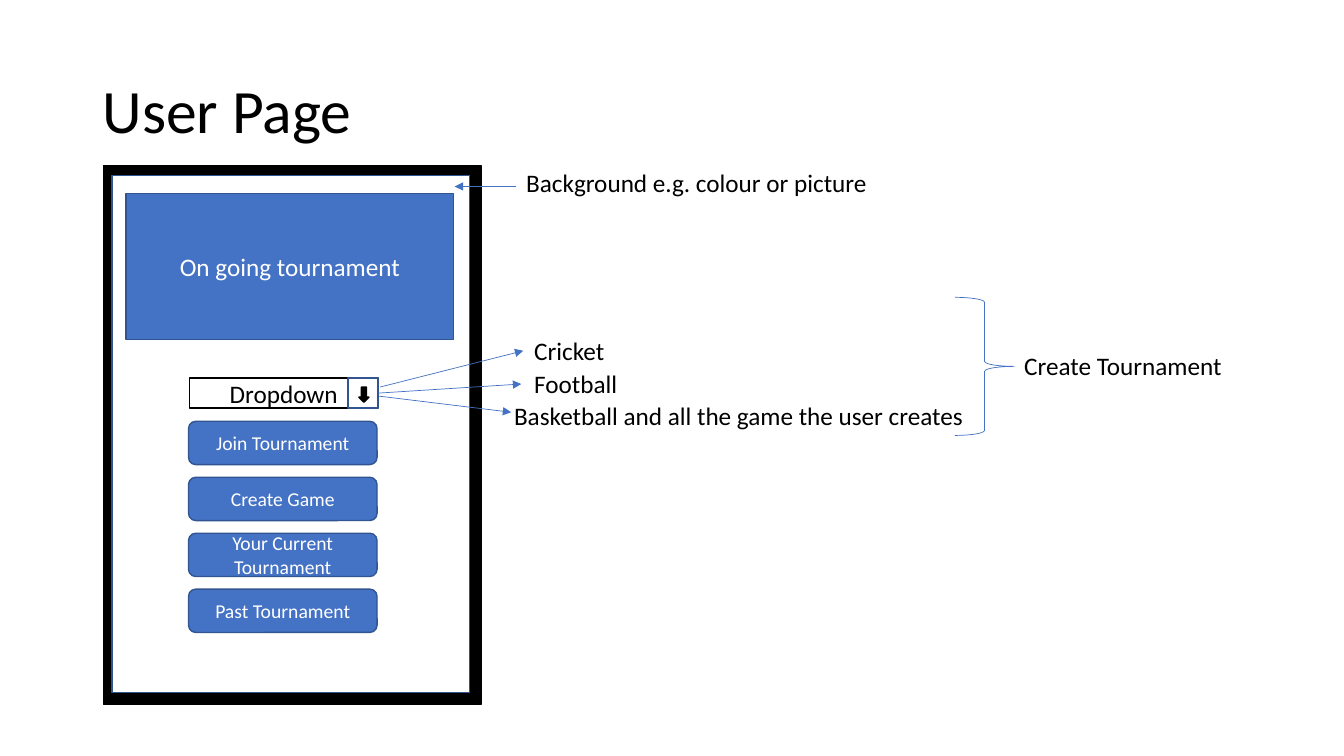
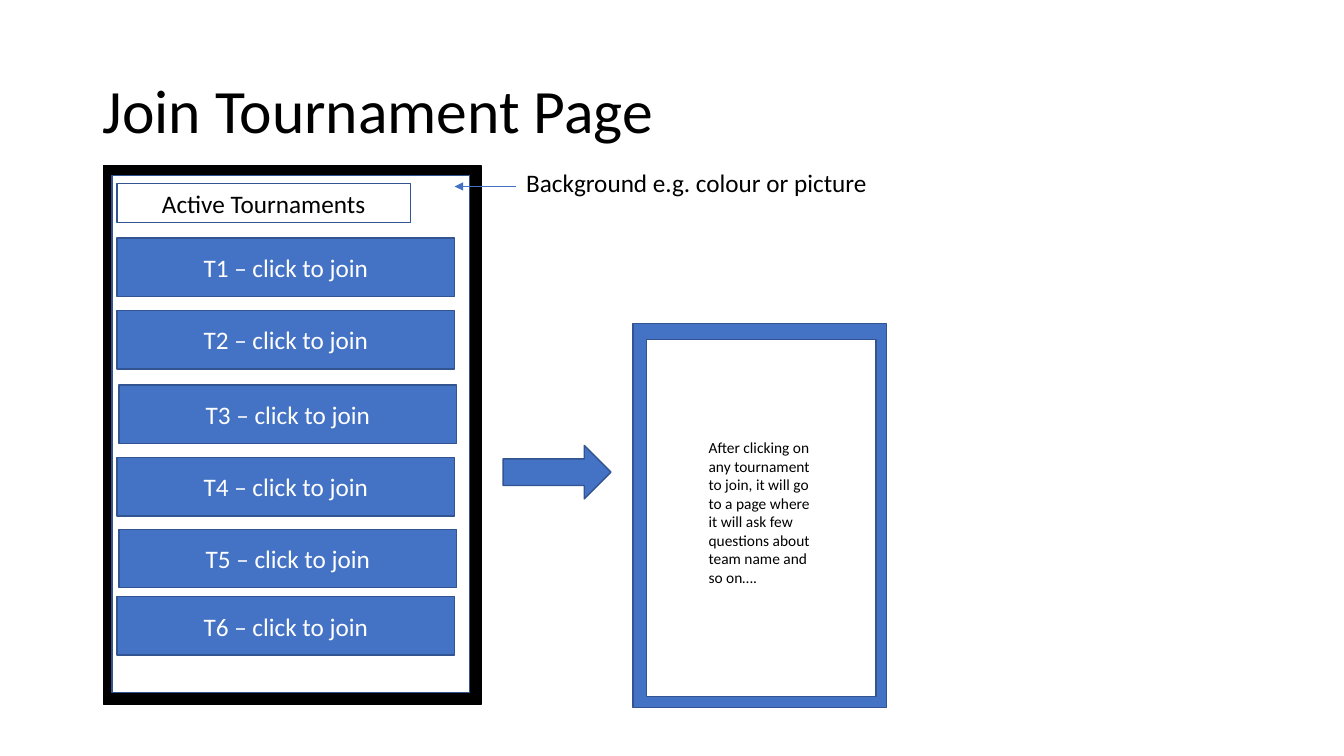
from lxml import etree
from pptx import Presentation
from pptx.dml.color import RGBColor
from pptx.enum.shapes import MSO_CONNECTOR, MSO_SHAPE as SHAPE
from pptx.enum.text import MSO_ANCHOR as ANCHOR, MSO_AUTO_SIZE as AUTO, PP_ALIGN as ALIGN
from pptx.oxml.ns import qn
from pptx.util import Inches, Pt

BLUE = RGBColor(0x44, 0x72, 0xC4)
EDGE = RGBColor(0x32, 0x54, 0x91)
BLACK = RGBColor(0, 0, 0)
WHITE = RGBColor(255, 255, 255)
FONT = "Calibri"

# Boxes are (left, top, width, height) in inches
TITLE_BOX = (0.92, 0.4, 11.5, 1.45)
PHONE_FRAME = (1.03, 1.64, 3.74, 5.35)
PHONE_SCREEN = (1.11, 1.74, 3.55, 5.13)
BACKGROUND_NOTE = ("Background e.g. colour or picture", (5.12, 1.61, 3.68, 0.4))
BACKGROUND_ARROW = ((5.12, 1.85), (4.51, 1.85))

BUTTONS = ["Join Tournament", "Create Game", "Your Current Tournament", "Past Tournament"]
BUTTON_BOX, BUTTON_STEP = (1.87, 4.18, 1.87, 0.43), 0.555

# Label, its box, arrow start, arrow end
GAMES = [
    ("Cricket", (5.2, 3.28, 0.9, 0.4), (3.77, 3.84), (5.19, 3.48)),
    ("Football", (5.2, 3.6, 1.03, 0.4), None, (5.17, 3.81)),
    ("Basketball and all the game the user creates", (5, 3.92, 4.77, 0.4),
     (3.76, 3.93), (5.07, 4.09)),
]

# Left and top of each tournament row
ROWS = [(1.16, 2.36), (1.16, 3.08), (1.18, 3.82), (1.16, 4.54), (1.18, 5.25), (1.16, 5.92)]
ROW_SIZE = (3.35, 0.58)
JOIN_NOTE = ("After clicking on any tournament to join, it will go to a page where "
             "it will ask few questions about team name and so on….")


def write(sp, text, size=18, color=BLACK, align=ALIGN.LEFT, anchor=ANCHOR.TOP,
          wrap=True, spacing=None):
    tf = sp.text_frame
    tf.word_wrap, tf.vertical_anchor = wrap, anchor
    p = tf.paragraphs[0]
    p.alignment, p.line_spacing = align, spacing
    r = p.add_run()
    r.text = text
    r.font.name, r.font.size, r.font.color.rgb = FONT, Pt(size), color


def add_label(s, text, box, grow=True, **fmt):
    sp = s.shapes.add_textbox(*map(Inches, box))
    write(sp, text, **fmt)
    if grow:
        sp.text_frame.auto_size = AUTO.SHAPE_TO_FIT_TEXT


def add_box(s, box, text=None, kind=SHAPE.RECTANGLE, fill=BLUE, line=EDGE, width=1, **fmt):
    sp = s.shapes.add_shape(kind, *map(Inches, box))
    sp.shadow.inherit = False
    if fill is None:
        sp.fill.background()
    else:
        sp.fill.solid()
        sp.fill.fore_color.rgb = fill
    sp.line.color.rgb, sp.line.width = line, Pt(width)
    if text:
        write(sp, text, align=ALIGN.CENTER, anchor=ANCHOR.MIDDLE,
              **{"color": WHITE, **fmt})
    return sp


def add_arrow(s, start, end, source=None):
    """Draw an arrow from start, or from the right side of source."""
    c = s.shapes.add_connector(MSO_CONNECTOR.STRAIGHT, *map(Inches, (start or end) + end))
    if source is not None:
        c.begin_connect(source, 3)
    c.line.color.rgb, c.line.width = BLUE, Pt(0.5)
    etree.SubElement(c.line._get_or_add_ln(), qn("a:tailEnd"), type="triangle")
    etree.SubElement(c._element.spPr, qn("a:effectLst"))


def add_phone_slide(prs, title):
    """Add a slide with the title, the phone and the background note."""
    s = prs.slides.add_slide(prs.slide_layouts[6])
    add_label(s, title, TITLE_BOX, grow=False, size=44, anchor=ANCHOR.MIDDLE, spacing=0.9)
    add_box(s, PHONE_FRAME, fill=BLACK, line=BLACK)
    add_box(s, PHONE_SCREEN, fill=WHITE)
    add_arrow(s, *BACKGROUND_ARROW)
    add_label(s, *BACKGROUND_NOTE, wrap=False)
    return s


def build_user_page(prs):
    s = add_phone_slide(prs, "User Page")
    add_box(s, (1.25, 1.92, 3.25, 1.45), "On going tournament")
    add_box(s, (1.88, 3.75, 1.87, 0.3), "Dropdown", fill=WHITE, line=BLACK, color=BLACK)
    toggle = add_box(s, (3.45, 3.75, 0.3, 0.3), fill=WHITE)
    add_box(s, (3.56, 3.84, 0.1, 0.15), kind=SHAPE.DOWN_ARROW, fill=BLACK, line=BLACK)

    left, top, width, height = BUTTON_BOX
    for i, text in enumerate(BUTTONS):
        add_box(s, (left, top + i * BUTTON_STEP, width, height), text,
                kind=SHAPE.ROUNDED_RECTANGLE, size=14)

    for text, box, start, end in GAMES:
        add_arrow(s, start, end, source=None if start else toggle)
        add_label(s, text, box, wrap=False)
    add_box(s, (9.47, 2.95, 0.59, 1.37), kind=SHAPE.RIGHT_BRACE, fill=None, line=BLUE, width=0.5)
    add_label(s, "Create Tournament", (10.06, 3.43, 2.24, 0.4), wrap=False)


def build_join_page(prs):
    s = add_phone_slide(prs, "Join Tournament Page")
    add_box(s, (1.16, 1.82, 2.91, 0.39), "Active Tournaments", fill=WHITE, color=BLACK)
    for i, corner in enumerate(ROWS, 1):
        add_box(s, corner + ROW_SIZE, f"T{i} – click to join")
    add_box(s, (6.28, 3.21, 2.51, 3.81))
    add_box(s, (4.99, 4.42, 1.07, 0.53), kind=SHAPE.RIGHT_ARROW)
    add_box(s, (6.41, 3.37, 2.28, 3.54), fill=WHITE)
    add_label(s, JOIN_NOTE, (6.93, 4.3, 1.3, 1.58), size=11)


def main():
    prs = Presentation()
    prs.slide_width, prs.slide_height = Inches(13.33), Inches(7.5)
    build_user_page(prs)
    build_join_page(prs)
    prs.save("out.pptx")


if __name__ == "__main__":
    main()
